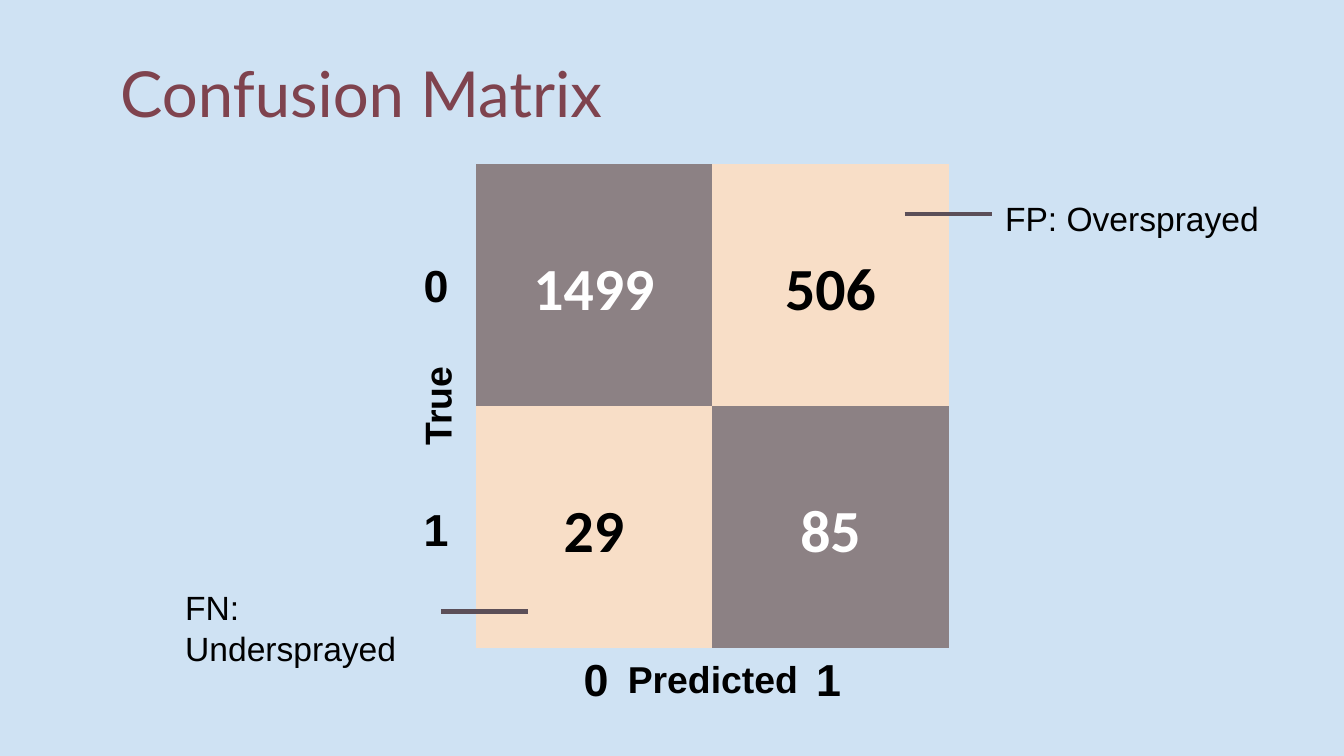
import pptx
import pptx.dml.color
import pptx.enum.shapes
import pptx.enum.text
import pptx.oxml.ns
import pptx.util
from lxml import etree

Inches = pptx.util.Inches
Align = pptx.enum.text.PP_ALIGN
Anchor = pptx.enum.text.MSO_ANCHOR
AutoSize = pptx.enum.text.MSO_AUTO_SIZE

SLIDE_WIDTH = 10
SLIDE_HEIGHT = SLIDE_WIDTH * 9 / 16
BACKGROUND = "CFE2F3"
TITLE_COLOR = "7F434E"
LINE_COLOR = "5C4F58"
CORRECT = {"fill": "8C8184", "text": "FFFFFF"}
WRONG = {"fill": "F8DEC7", "text": "000000"}
COUNTS = [[1499, 506], [29, 85]]
TABLE_LEFT, TABLE_TOP = 3.54, 1.22
COLUMN_WIDTH, ROW_HEIGHT = 1.76, 1.8
LABEL_HEIGHT = 0.44
NO_GRID_STYLE = "{2D5ABB26-0587-4C30-8999-92F81FD0307C}"


def rgb(value):
    return pptx.dml.color.RGBColor.from_string(value)


def set_attributes(target, values):
    for name, value in values.items():
        setattr(target, name, value)


def set_margins(target):
    for side in ("left", "top", "right", "bottom"):
        setattr(target, f"margin_{side}", Inches(0.1))


def write_text(frame, text, size, font="Arial", color="000000", bold=False,
               alignment=Align.CENTER, line_spacing=1.0):
    paragraph = frame.paragraphs[0]
    set_attributes(paragraph, {"alignment": alignment, "line_spacing": line_spacing})
    run = paragraph.add_run()
    run.text = text
    set_attributes(run.font, {"name": font, "size": pptx.util.Pt(size), "bold": bold})
    run.font.color.rgb = rgb(color)


def format_title(slide, text):
    title = slide.shapes.title
    set_attributes(title, {"left": Inches(-0.6), "top": Inches(0.3),
                           "width": Inches(5.18), "height": Inches(0.63)})
    set_margins(title.text_frame)
    set_attributes(title.text_frame, {"vertical_anchor": Anchor.TOP,
                                      "auto_size": AutoSize.NONE})
    write_text(title.text_frame, text, 34, "Lato", TITLE_COLOR, alignment=Align.RIGHT)


def add_text(slide, box, text, size, anchor=Anchor.MIDDLE, auto_size=AutoSize.NONE, **style):
    shape = slide.shapes.add_textbox(*map(Inches, box))
    set_margins(shape.text_frame)
    set_attributes(shape.text_frame, {"word_wrap": True, "vertical_anchor": anchor,
                                      "auto_size": auto_size})
    write_text(shape.text_frame, text, size, **style)
    return shape


def add_matrix(slide):
    frame = slide.shapes.add_table(2, 2, Inches(TABLE_LEFT), Inches(TABLE_TOP),
                                   Inches(2 * COLUMN_WIDTH), Inches(2 * ROW_HEIGHT))
    table = frame.table
    set_attributes(table, {"first_row": False, "horz_banding": False})
    table._tbl.tblPr.find(pptx.oxml.ns.qn("a:tableStyleId")).text = NO_GRID_STYLE
    for row, counts in enumerate(COUNTS):
        for column, count in enumerate(counts):
            colors = CORRECT if row == column else WRONG
            cell = table.cell(row, column)
            set_margins(cell)
            cell.vertical_anchor = Anchor.MIDDLE
            cell.fill.solid()
            cell.fill.fore_color.rgb = rgb(colors["fill"])
            write_text(cell.text_frame, str(count), 32, "Calibri", colors["text"],
                       bold=True, line_spacing=1.15)


def add_axis_labels(slide):
    true_label = add_text(slide, (2.69, 2.8, 1.12, LABEL_HEIGHT), "True", 20, bold=True)
    true_label.rotation = 270
    add_text(slide, (4.51, 4.83, 1.59, LABEL_HEIGHT), "Predicted", 20, bold=True)
    for index in range(2):
        column_left = 4.14 + index * 1.73
        row_top = 1.9 + index * 1.81
        for left, top in ((column_left, 4.83), (2.95, row_top)):
            add_text(slide, (left, top, 0.59, LABEL_HEIGHT), str(index), 24, bold=True)


def add_callout(slide, text, left, top, line_left, line_top):
    line = slide.shapes.add_connector(
        pptx.enum.shapes.MSO_CONNECTOR.STRAIGHT,
        *map(Inches, (line_left, line_top, line_left + 0.65, line_top)))
    line.line.color.rgb = rgb(LINE_COLOR)
    line.line.width = pptx.util.Pt(2.25)
    etree.SubElement(line._element.spPr, pptx.oxml.ns.qn("a:effectLst"))
    add_text(slide, (left, top, 2.16, 0.5), text, 18, anchor=Anchor.TOP,
             auto_size=AutoSize.SHAPE_TO_FIT_TEXT, alignment=Align.LEFT)


def main():
    presentation = pptx.Presentation()
    set_attributes(presentation, {"slide_width": Inches(SLIDE_WIDTH),
                                  "slide_height": Inches(SLIDE_HEIGHT)})
    slide = presentation.slides.add_slide(presentation.slide_layouts[5])
    slide.background.fill.solid()
    slide.background.fill.fore_color.rgb = rgb(BACKGROUND)
    format_title(slide, "Confusion Matrix")
    add_matrix(slide)
    add_axis_labels(slide)
    add_callout(slide, "FP: Oversprayed", 7.38, 1.37, 6.73, 1.59)
    add_callout(slide, "FN: Undersprayed", 1.28, 4.27, 3.28, 4.55)
    presentation.save("out.pptx")


if __name__ == "__main__":
    main()
